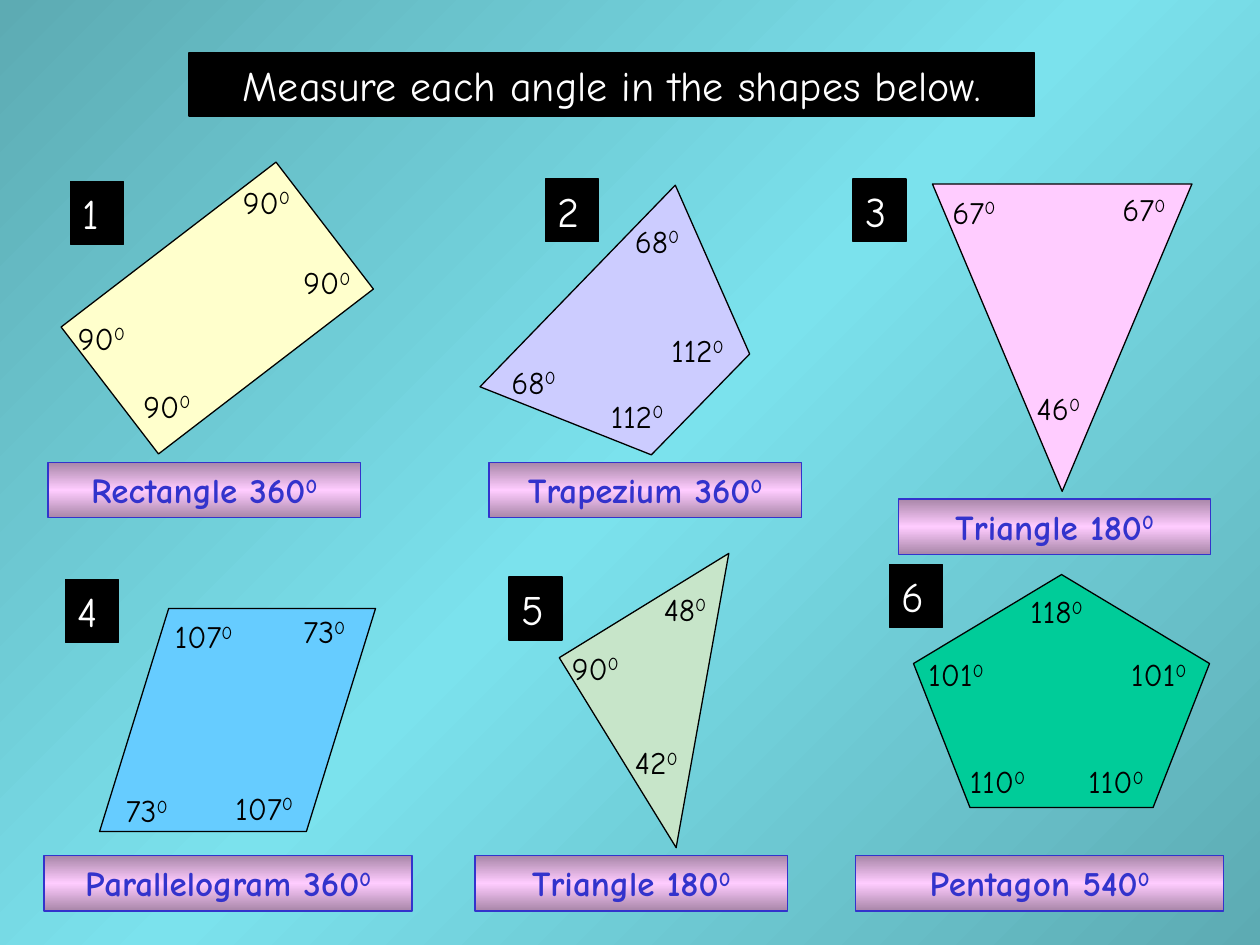
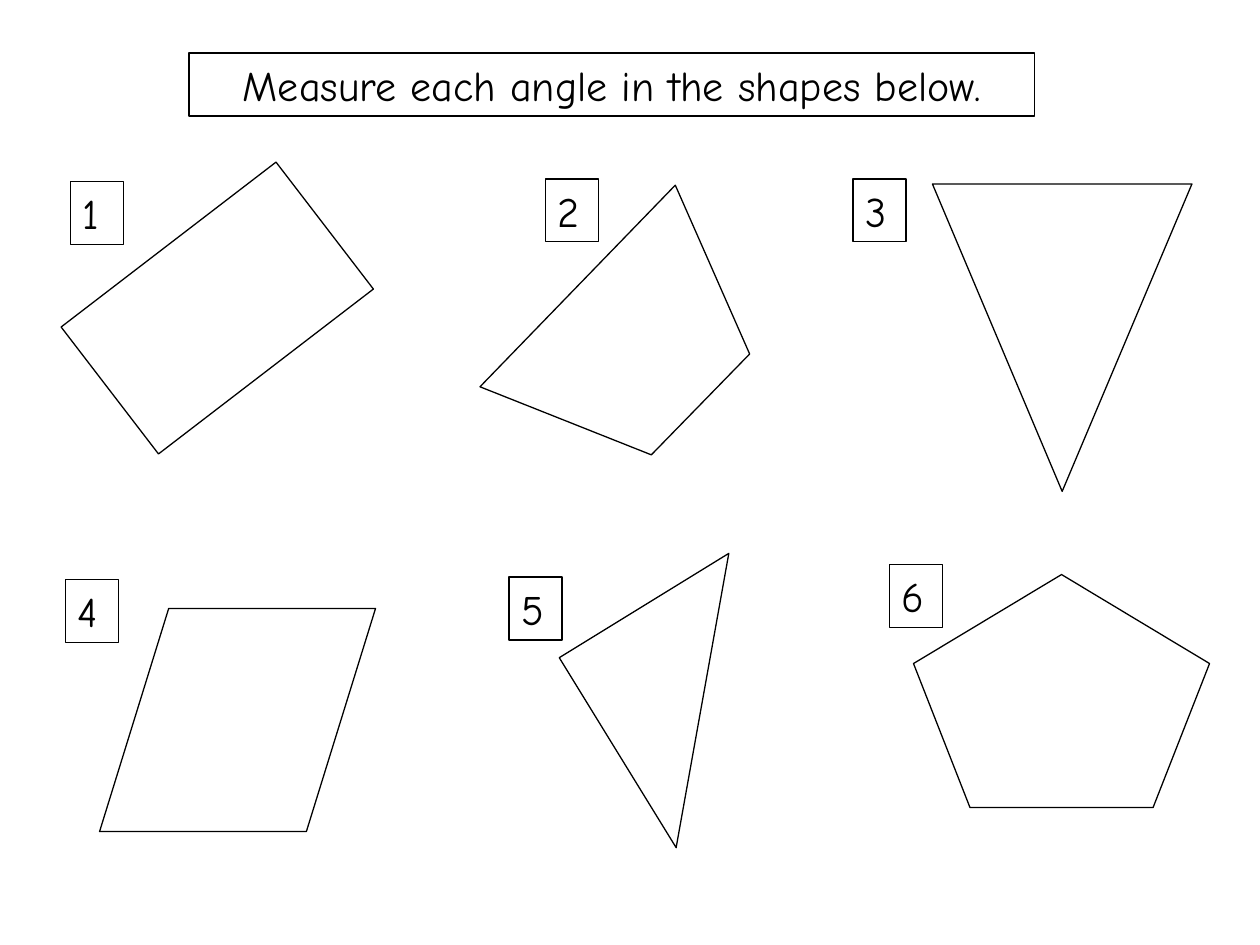
from copy import deepcopy
from pptx import Presentation
from pptx import util as u
from pptx.dml.color import RGBColor
from pptx.enum import shapes, text
from pptx.oxml.ns import qn

FONT = "Comic Neue"
BLACK = RGBColor(0x00, 0x00, 0x00)
WHITE = RGBColor(0xFF, 0xFF, 0xFF)
TEAL = RGBColor(0x5D, 0xAB, 0xB3)
AQUA = RGBColor(0x7B, 0xE2, 0xED)
MAUVE = RGBColor(0xA8, 0x86, 0xA8)
PINK = RGBColor(0xFF, 0xCC, 0xFF)
BLUE = RGBColor(0x33, 0x33, 0xCC)
CREAM = RGBColor(0xFF, 0xFF, 0xCC)
LILAC = RGBColor(0xCC, 0xCC, 0xFF)
SKY = RGBColor(0x66, 0xCC, 0xFF)
SAGE = RGBColor(0xC7, 0xE5, 0xC9)
GREEN = RGBColor(0x00, 0xCC, 0x99)

TITLE = "Measure each angle in the shapes below."
KIND = shapes.MSO_SHAPE
SLIM, WIDE = 2.48, 2.92
TRAPEZIUM = [(3.81, 3.07), (5.36, 1.47), (5.95, 2.81), (5.17, 3.61)]

FIGURES = [
    dict(kind=KIND.RECTANGLE, box=(0.65, 1.81, 2.15, 1.27), turn=322.5, fill=CREAM,
         badge=(0.56, 1.44), name="Rectangle", total=360, label=(0.38, 3.67, SLIM),
         angles=[(90, 1.83, 1.4), (90, 0.52, 2.48), (90, 1.04, 3.02), (90, 2.31, 2.04)]),
    dict(points=TRAPEZIUM, fill=LILAC,
         badge=(4.33, 1.42), name="Trapezium", total=360, label=(3.88, 3.67, SLIM),
         angles=[(112, 4.75, 3.1), (112, 5.23, 2.58), (68, 3.96, 2.83), (68, 4.94, 1.71)]),
    dict(kind=KIND.ISOSCELES_TRIANGLE, box=(7.4, 1.46, 2.06, 2.44), turn=180, fill=PINK,
         badge=(6.77, 1.42), name="Triangle", total=180, label=(7.13, 3.96, SLIM),
         angles=[(67, 7.46, 1.48), (67, 8.81, 1.46), (46, 8.13, 3.04)]),
    dict(kind=KIND.PARALLELOGRAM, box=(0.79, 4.83, 2.19, 1.77), slant=0.31, fill=SKY,
         badge=(0.52, 4.6), name="Parallelogram", total=360, label=(0.35, 6.79, WIDE),
         angles=[(73, 0.9, 6.23), (73, 2.31, 4.81), (107, 1.29, 4.85), (107, 1.77, 6.21)]),
    dict(kind=KIND.RIGHT_TRIANGLE, box=(4.69, 4.77, 1.77, 1.58), turn=58.4, fill=SAGE,
         badge=(4.04, 4.58), name="Triangle", total=180, label=(3.77, 6.79, SLIM),
         angles=[(90, 4.44, 5.1), (42, 4.94, 5.85), (48, 5.17, 4.63)]),
    dict(kind=KIND.REGULAR_PENTAGON, box=(7.25, 4.56, 2.35, 1.85), fill=GREEN,
         badge=(7.06, 4.48), name="Pentagon", total=540, label=(6.79, 6.79, WIDE),
         angles=[(110, 7.6, 6), (110, 8.54, 6), (101, 7.27, 5.15), (101, 8.88, 5.15),
                 (118, 8.08, 4.65)]),
]


def inch(box):
    return [u.Inches(n) for n in box]


def blend(fill, root, edge, core, angle):
    fill.gradient()
    stops = next(root.iter(qn("a:gsLst")))
    stops.append(deepcopy(stops[0]))
    for stop, color, spot in zip(fill.gradient_stops, (edge, core, edge), (0, 0.5, 1)):
        stop.color.rgb = color
        stop.position = spot
    fill.gradient_angle = angle


def paint(shape, fill=None, line=BLACK):
    if fill is None:
        shape.fill.background()
    else:
        shape.fill.solid()
        shape.fill.fore_color.rgb = fill
    shape.line.color.rgb = line
    shape.line.width = u.Pt(0.75)


def write(shape, words, size=24, color=BLACK, bold=False, center=False, degree=False):
    frame = shape.text_frame
    frame.word_wrap = True
    frame.auto_size = text.MSO_AUTO_SIZE.NONE
    frame.vertical_anchor = text.MSO_ANCHOR.TOP
    para = frame.paragraphs[0]
    para.alignment = text.PP_ALIGN.CENTER if center else text.PP_ALIGN.LEFT
    para.space_before = u.Pt(0)
    for part in [words, "0"] if degree else [words]:
        run = para.add_run()
        run.text = part
        run.font.name = FONT
        run.font.size = u.Pt(size)
        run.font.bold = bold
        run.font.color.rgb = color
    if degree:
        run.font._element.set("baseline", "30000")


def block(slide, kind, box):
    shape = slide.shapes.add_shape(kind, *inch(box))
    shape.shadow.inherit = False
    return shape


def outline(slide, fig):
    if "points" in fig:
        start, *rest = [inch(p) for p in fig["points"]]
        pen = slide.shapes.build_freeform(*start)
        pen.add_line_segments(rest, close=True)
        shape = pen.convert_to_shape()
        shape.shadow.inherit = False
        return shape
    shape = block(slide, fig["kind"], fig["box"])
    shape.rotation = fig.get("turn", 0)
    if "slant" in fig:
        shape.adjustments[0] = fig["slant"]
    return shape


def answer(slide, fig):
    for size, left, top in fig["angles"]:
        width = 0.83 if size > 99 else 0.67
        tag = slide.shapes.add_textbox(*inch((left, top, width, 0.4)))
        write(tag, str(size), size=18, degree=True)
    label = block(slide, KIND.RECTANGLE, (*fig["label"], 0.44))
    paint(label, line=BLUE)
    blend(label.fill, label.element, MAUVE, PINK, 90)
    write(label, f"{fig['name']} {fig['total']}", size=20, color=BLUE, bold=True,
          center=True, degree=True)


def build(deck, solved):
    slide = deck.slides.add_slide(deck.slide_layouts[5])
    back = slide.background.fill
    if solved:
        blend(back, slide.element, TEAL, AQUA, 135)
    else:
        back.solid()
        back.fore_color.rgb = WHITE
    panel, ink = (BLACK, WHITE) if solved else (None, BLACK)
    title = slide.shapes.title
    title.left, title.top, title.width, title.height = inch((1.5, 0.42, 6.71, 0.5))
    paint(title, panel)
    write(title, TITLE, color=ink, center=True)
    for count, fig in enumerate(FIGURES, 1):
        paint(outline(slide, fig), fig["fill"] if solved else None)
        badge = block(slide, KIND.RECTANGLE, (*fig["badge"], 0.42, 0.5))
        paint(badge, panel)
        write(badge, str(count), color=ink)
        if solved:
            answer(slide, fig)


def main():
    deck = Presentation()
    deck.slide_width, deck.slide_height = inch((10, 7.5))
    for solved in (True, False):
        build(deck, solved)
    deck.save("out.pptx")


if __name__ == "__main__":
    main()
